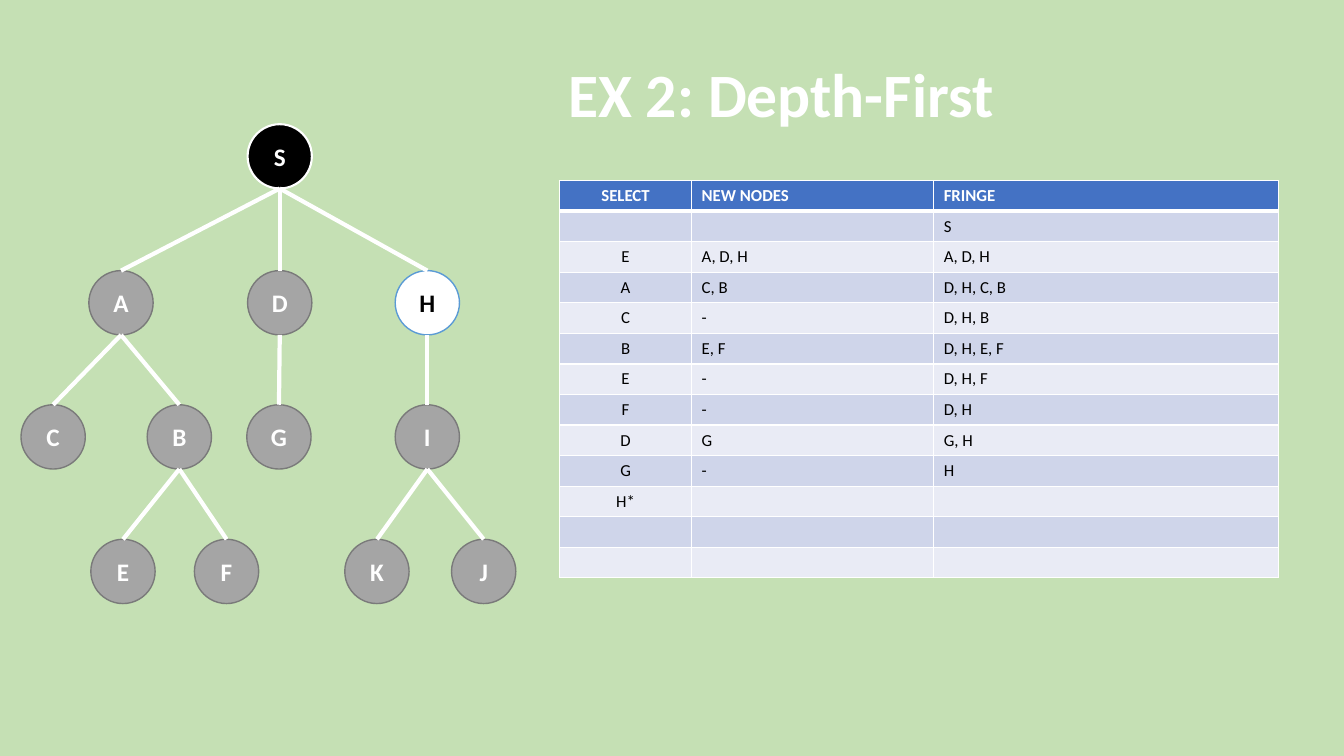
"""Build a slide on depth-first search: a tree beside its trace table."""
import dataclasses
import typing

import lxml.etree
import pptx
import pptx.dml.color
import pptx.enum.shapes
import pptx.enum.text
import pptx.oxml.ns
import pptx.util

Cm = pptx.util.Cm
Pt = pptx.util.Pt
qn = pptx.oxml.ns.qn
ALIGN = pptx.enum.text.PP_ALIGN
MIDDLE = pptx.enum.text.MSO_ANCHOR.MIDDLE
SIZE = 1.62
WHITE, BLACK, GREY = "FFFFFF", "000000", "A5A5A5"
LEVELS = (3.94, 7.63, 11.01, 14.4)


@dataclasses.dataclass(frozen=True)
class Node:
    name: str
    x: float
    level: int
    parent: str = ""
    fill: str = GREY
    line: str = "7A7A7A"
    width: float = 1
    ink: str = WHITE

    @property
    def top(self) -> float:
        return LEVELS[self.level] - SIZE / 2


NODES = (
    Node("S", 7.05, 0, fill=BLACK, line=WHITE, width=1.5),
    Node("A", 3.05, 1, "S"),
    Node("D", 7.05, 1, "S"),
    Node("H", 10.77, 1, "S", fill=WHITE, line="5B9BD5", ink=BLACK),
    Node("C", 1.34, 2, "A"),
    Node("B", 4.52, 2, "A"),
    Node("G", 7.03, 2, "D"),
    Node("I", 10.77, 2, "H"),
    Node("E", 3.1, 3, "B"),
    Node("F", 5.71, 3, "B"),
    Node("K", 9.5, 3, "I"),
    Node("J", 12.19, 3, "I"),
)
COLS = (3.33, 6.1, 8.69)
ROWS = (
    ("SELECT", "NEW NODES", "FRINGE"),
    ("", "", "S"),
    ("E", "A, D, H", "A, D, H"),
    ("A", "C, B", "D, H, C, B"),
    ("C", "-", "D, H, B"),
    ("B", "E, F", "D, H, E, F"),
    ("E", "-", "D, H, F"),
    ("F", "-", "D, H"),
    ("D", "G", "G, H"),
    ("G", "-", "H"),
    ("H*", "", ""),
    ("", "", ""),
    ("", "", ""),
)


def color(code: str) -> pptx.dml.color.RGBColor:
    return pptx.dml.color.RGBColor.from_string(code)


def paint(fill: typing.Any, code: str) -> None:
    fill.solid()
    fill.fore_color.rgb = color(code)


def write(para: typing.Any, text: str, size: float, ink: str, bold: bool = True) -> None:
    run = para.add_run()
    run.text = text
    style = {"name": "Calibri", "size": Pt(size), "bold": bold}
    for key, value in style.items():
        setattr(run.font, key, value)
    run.font.color.rgb = color(ink)


def draw_node(shapes: typing.Any, node: Node) -> None:
    oval = shapes.add_shape(
        pptx.enum.shapes.MSO_SHAPE.OVAL,
        Cm(node.x - SIZE / 2), Cm(node.top), Cm(SIZE), Cm(SIZE))
    oval.shadow.inherit = False
    paint(oval.fill, node.fill)
    paint(oval.line.fill, node.line)
    oval.line.width = Pt(node.width)
    oval.text_frame.vertical_anchor = MIDDLE
    para = oval.text_frame.paragraphs[0]
    para.alignment = ALIGN.CENTER
    write(para, node.name, 18, node.ink)


def draw_edge(shapes: typing.Any, start: Node, end: Node) -> None:
    edge = shapes.add_connector(
        pptx.enum.shapes.MSO_CONNECTOR.STRAIGHT,
        Cm(start.x), Cm(start.top + SIZE), Cm(end.x), Cm(end.top))
    paint(edge.line.fill, WHITE)
    edge.line.width = Pt(3)
    lxml.etree.SubElement(edge._element.spPr, qn("a:effectLst"))


def draw_title(shapes: typing.Any) -> None:
    box = shapes.add_textbox(Cm(14.07), Cm(0.61), Cm(18.11), Cm(3.68))
    frame = box.text_frame
    for key, value in {"word_wrap": True, "vertical_anchor": MIDDLE}.items():
        setattr(frame, key, value)
    para = frame.paragraphs[0]
    para.line_spacing = 0.9
    write(para, "EX 2: Depth-First", 44, WHITE)


def border(cell: typing.Any, widths: dict[str, float]) -> None:
    props = cell._tc.get_or_add_tcPr()
    for side, width in widths.items():
        line = lxml.etree.SubElement(props, qn(f"a:{side}"), w=str(Pt(width)))
        fill = lxml.etree.SubElement(line, qn("a:solidFill"))
        lxml.etree.SubElement(fill, qn("a:srgbClr"), val=WHITE)


def draw_table(shapes: typing.Any) -> None:
    high = 0.77
    table = shapes.add_table(
        len(ROWS), len(COLS), Cm(14.1), Cm(4.55),
        Cm(sum(COLS)), Cm(high * len(ROWS))).table
    for col, width in zip(table.columns, COLS):
        col.width = Cm(width)
    for i, texts in enumerate(ROWS):
        table.rows[i].height = Cm(high)
        head = i == 0
        back = "4472C4" if head else ("E9EBF5", "CFD5EA")[i % 2]
        for j, text in enumerate(texts):
            cell = table.cell(i, j)
            border(cell, {"lnL": 1, "lnR": 1, "lnT": 3 if i == 1 else 1,
                          "lnB": 3 if head else 1})
            paint(cell.fill, back)
            para = cell.text_frame.paragraphs[0]
            if j == 0:
                para.alignment = ALIGN.CENTER
            if text:
                write(para, text, 12, WHITE if head else BLACK, head)
            else:
                lxml.etree.SubElement(para._p, qn("a:endParaRPr"), sz="1200")


def main() -> None:
    deck = pptx.Presentation()
    for key, value in {"slide_width": Cm(33.87), "slide_height": Cm(19.05)}.items():
        setattr(deck, key, value)
    slide = deck.slides.add_slide(deck.slide_layouts[6])
    paint(slide.background.fill, "C5E0B4")
    shapes = slide.shapes
    for node in NODES:
        draw_node(shapes, node)
    names = {node.name: node for node in NODES}
    for node in NODES:
        if node.parent:
            draw_edge(shapes, names[node.parent], node)
    draw_title(shapes)
    draw_table(shapes)
    deck.save("out.pptx")


if __name__ == "__main__":
    main()
